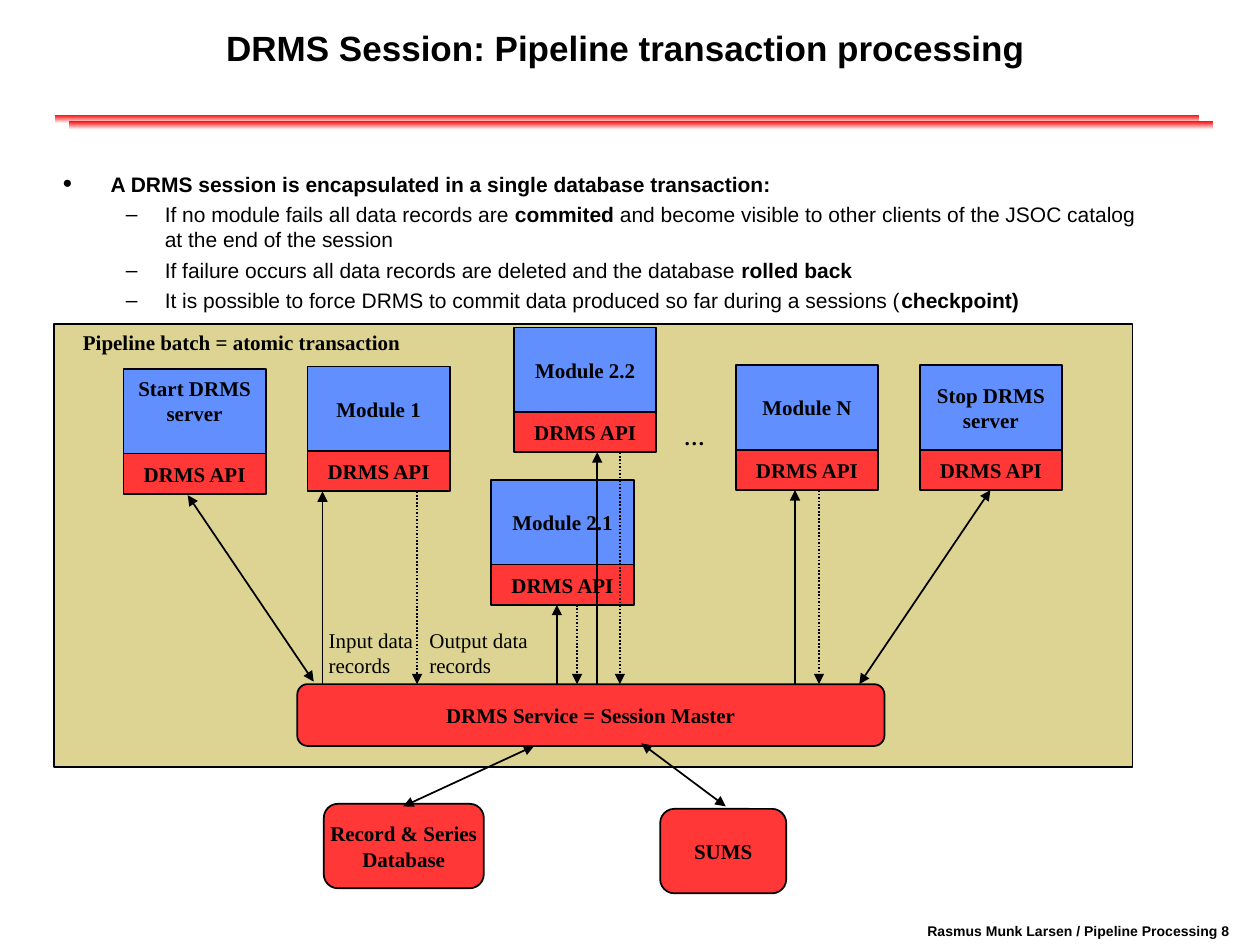
from dataclasses import dataclass

import pptx
import pptx.dml.color
import pptx.enum.dml
import pptx.enum.shapes
import pptx.enum.text
import pptx.oxml.ns
import pptx.util
from lxml import etree

Inches = pptx.util.Inches
Shape = pptx.enum.shapes.MSO_SHAPE
Align = pptx.enum.text.PP_ALIGN
Anchor = pptx.enum.text.MSO_ANCHOR


@dataclass(frozen=True)
class Theme:
    sans: str = "Arial"
    serif: str = "Times New Roman"
    ink: str = "000000"
    paper: str = "FFFFFF"
    rule: str = "FF0000"
    batch: str = "DDD493"
    module: str = "618FFD"
    service: str = "FF3737"
    title_size: int = 20
    text_size: int = 12
    footer_size: int = 8
    line_width: int = 1


@dataclass(frozen=True)
class Box:
    """A region in inches."""
    left: float
    top: float
    width: float
    height: float

    def inner(self, left, top, width, height):
        return Box(self.left + left, self.top + top, width, height)

    def point(self, x, y):
        return self.left + x, self.top + y

    def lengths(self):
        return [Inches(n) for n in (self.left, self.top, self.width, self.height)]


THEME = Theme()


def color(value):
    return pptx.dml.color.RGBColor.from_string(value)


def add_xml(parent, tag, **attributes):
    return etree.SubElement(parent, pptx.oxml.ns.qn(tag), attributes)


def write(shape, paragraphs, font=THEME.serif, size=THEME.text_size, bold=True,
          align=Align.LEFT, anchor=Anchor.TOP, wrap=False):
    """Fill a shape; a paragraph is a string or a list of (text, bold) spans."""
    frame = shape.text_frame
    frame.word_wrap = wrap
    frame.vertical_anchor = anchor
    for index, content in enumerate(paragraphs):
        para = frame.paragraphs[0] if index == 0 else frame.add_paragraph()
        para.alignment = align
        spans = [(content, bold)] if isinstance(content, str) else content
        for text, is_bold in spans:
            span = para.add_run()
            span.text = text
            span.font.name = font
            span.font.size = pptx.util.Pt(size)
            span.font.bold = is_bold
            span.font.color.rgb = color(THEME.ink)
    return frame


def add_text(page, box, paragraphs, **style):
    return write(page.shapes.add_textbox(*box.lengths()), paragraphs, **style)


def add_block(page, box, fill, paragraphs=(), kind=Shape.RECTANGLE, anchor=Anchor.MIDDLE):
    block = page.shapes.add_shape(kind, *box.lengths())
    block.shadow.inherit = False
    block.fill.solid()
    block.fill.fore_color.rgb = color(fill)
    block.line.color.rgb = color(THEME.ink)
    block.line.width = pptx.util.Pt(THEME.line_width)
    write(block, paragraphs, align=Align.CENTER, anchor=anchor)


def add_arrow(page, start, end, both=False, dotted=False):
    arrow = page.shapes.add_connector(
        pptx.enum.shapes.MSO_CONNECTOR.STRAIGHT, *[Inches(n) for n in (*start, *end)])
    arrow.line.color.rgb = color(THEME.ink)
    arrow.line.width = pptx.util.Pt(THEME.line_width)
    if dotted:
        arrow.line.dash_style = pptx.enum.dml.MSO_LINE.ROUND_DOT
    outline = arrow.line._get_or_add_ln()
    if both:
        add_xml(outline, "a:headEnd", type="triangle")
    add_xml(outline, "a:tailEnd", type="triangle")
    add_xml(arrow._element.spPr, "a:effectLst")


def add_title(page, box, text):
    title = page.shapes.title
    title.left, title.top, title.width, title.height = box.lengths()
    write(title, [text], font=THEME.sans, size=THEME.title_size,
          align=Align.CENTER, anchor=Anchor.MIDDLE, wrap=True)


def add_rules(page, box):
    """Two staggered bars that fade downwards."""
    for left, top in ((0, 0), (0.11, 0.05)):
        bar = page.shapes.add_shape(
            Shape.RECTANGLE, *box.inner(left, top, 9.08, 0.07).lengths())
        bar.shadow.inherit = False
        bar.line.fill.background()
        bar.fill.gradient()
        bar.fill.gradient_angle = 270
        for stop, shade in zip(bar.fill.gradient_stops, (THEME.rule, THEME.paper)):
            stop.color.rgb = color(shade)


def add_bullets(page, box):
    frame = add_text(page, box, [
        "A DRMS session is encapsulated in a single database transaction:",
        [("If no module fails all data records are ", False), ("commited", True),
         (" and become visible to other clients of the JSOC catalog"
          " at the end of the session", False)],
        [("If failure occurs all data records are deleted and the database ", False),
         ("rolled back", True)],
        [("It is possible to force DRMS to commit data produced so far"
          " during a sessions (", False), ("checkpoint)", True)],
    ], font=THEME.sans, wrap=True)
    for index, para in enumerate(frame.paragraphs):
        para.level = min(index, 1)
        para.space_before = pptx.util.Pt(3)
        indent, hang, percent, mark = (
            (0.81, 0.31, 100, "–") if para.level else (0.38, 0.38, 125, "•"))
        props = para._p.get_or_add_pPr()
        props.set("marL", str(Inches(indent)))
        props.set("indent", str(-Inches(hang)))
        add_xml(add_xml(props, "a:buClr"), "a:srgbClr", val=THEME.ink)
        add_xml(props, "a:buSzPct", val=str(percent * 1000))
        add_xml(props, "a:buFont", typeface=THEME.sans)
        add_xml(props, "a:buChar", char=mark)


def add_module(page, box, label, anchor):
    """A module standing on its API strip."""
    split = 0.67
    add_block(page, box.inner(0, split, box.width, box.height - split),
              THEME.service, ["DRMS API"])
    add_block(page, box.inner(0, 0, box.width, split), THEME.module, label, anchor=anchor)


def add_batch(page, box):
    add_block(page, box, THEME.batch)
    add_text(page, box.inner(0.13, 0, 2.72, 0.3), ["Pipeline batch = atomic transaction"])
    service_top, module_height = 2.86, 0.99
    add_block(page, box.inner(1.93, service_top, 4.66, 0.49), THEME.service,
              ["DRMS Service = Session Master"], Shape.ROUNDED_RECTANGLE)

    # label, left, top, then the input and output arrows measured from the left edge
    modules = [
        (["Start DRMS", "server"], 0.55, 0.36, None),
        (["Module 1"], 2.01, 0.34, (0.12, 0.87)),
        (["Module 2.1"], 3.47, 1.24, (0.52, 0.68)),
        (["Module N"], 5.41, 0.33, (0.47, 0.66)),
        (["Stop DRMS", "server"], 6.87, 0.33, None),
        (["Module 2.2"], 3.65, 0.03, (0.66, 0.84)),
    ]
    for label, left, top, _ in modules:
        anchor = Anchor.TOP if label[0] == "Start DRMS" else Anchor.MIDDLE
        add_module(page, box.inner(left, top, 1.13, module_height), label, anchor)
    for _, left, top, flows in modules:
        if flows:
            source, result = [
                (box.point(left + x, service_top), box.point(left + x, top + module_height))
                for x in flows]
            add_arrow(page, *source)
            add_arrow(page, *reversed(result), dotted=True)
    add_arrow(page, box.point(1.06, 1.36), box.point(2.06, 2.84), both=True)
    add_arrow(page, box.point(7.43, 1.32), box.point(6.39, 2.86), both=True)

    add_text(page, box.inner(4.9, 0.75, 0.36, 0.3), ["…"])
    for left, width, word in ((2.08, 0.91, "Input data"), (2.88, 1.02, "Output data")):
        add_text(page, box.inner(left, 2.36, width, 0.5), [word, "records"], bold=False)


def add_stores(page, box):
    for left, top, width, label in ((0, 0.46, 1.27, ["Record & Series", "Database"]),
                                    (2.67, 0.5, 1, ["SUMS"])):
        add_block(page, box.inner(left, top, width, 0.67), THEME.service, label,
                  Shape.FLOWCHART_ALTERNATE_PROCESS)
    add_arrow(page, box.point(1.67, 0), box.point(0.63, 0.48), both=True)
    add_arrow(page, box.point(2.52, -0.02), box.point(3.19, 0.48), both=True)


def main():
    deck = pptx.Presentation()
    deck.slide_width, deck.slide_height = Inches(10), Inches(7.5)
    page = deck.slides.add_slide(deck.slide_layouts[5])
    add_title(page, Box(1.33, 0.04, 7.27, 0.67),
              "DRMS Session: Pipeline transaction processing")
    add_rules(page, Box(0.44, 0.91, 9.19, 0.12))
    add_batch(page, Box(0.43, 2.57, 8.56, 3.52))
    add_bullets(page, Box(0.4, 1.31, 8.84, 1.3))
    add_stores(page, Box(2.57, 5.92, 3.67, 1.17))
    add_text(page, Box(6.78, 7.27, 3.08, 0.23), ["Rasmus Munk Larsen / Pipeline Processing 8"],
             font=THEME.sans, size=THEME.footer_size, align=Align.RIGHT)
    deck.save("out.pptx")


if __name__ == "__main__":
    main()
